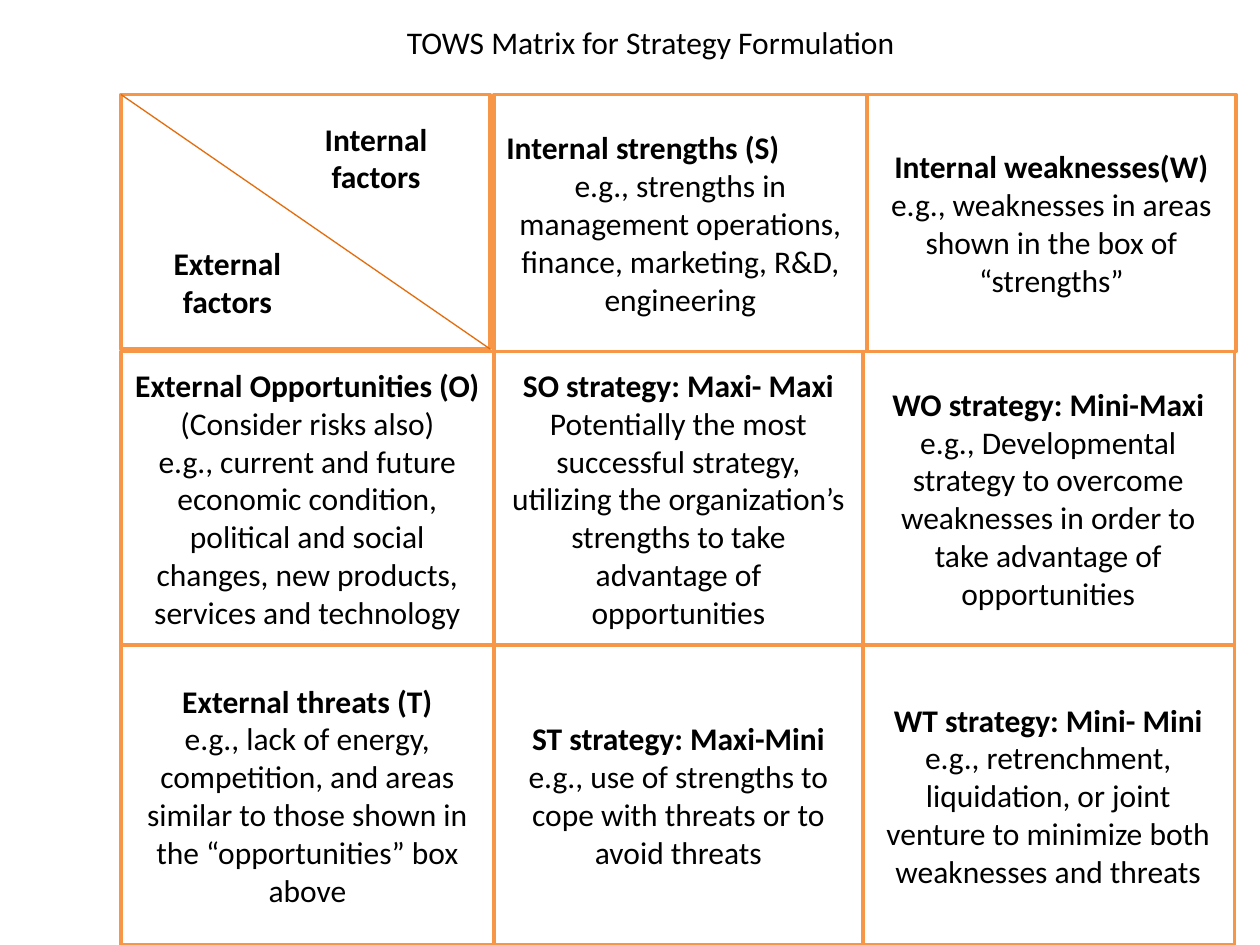
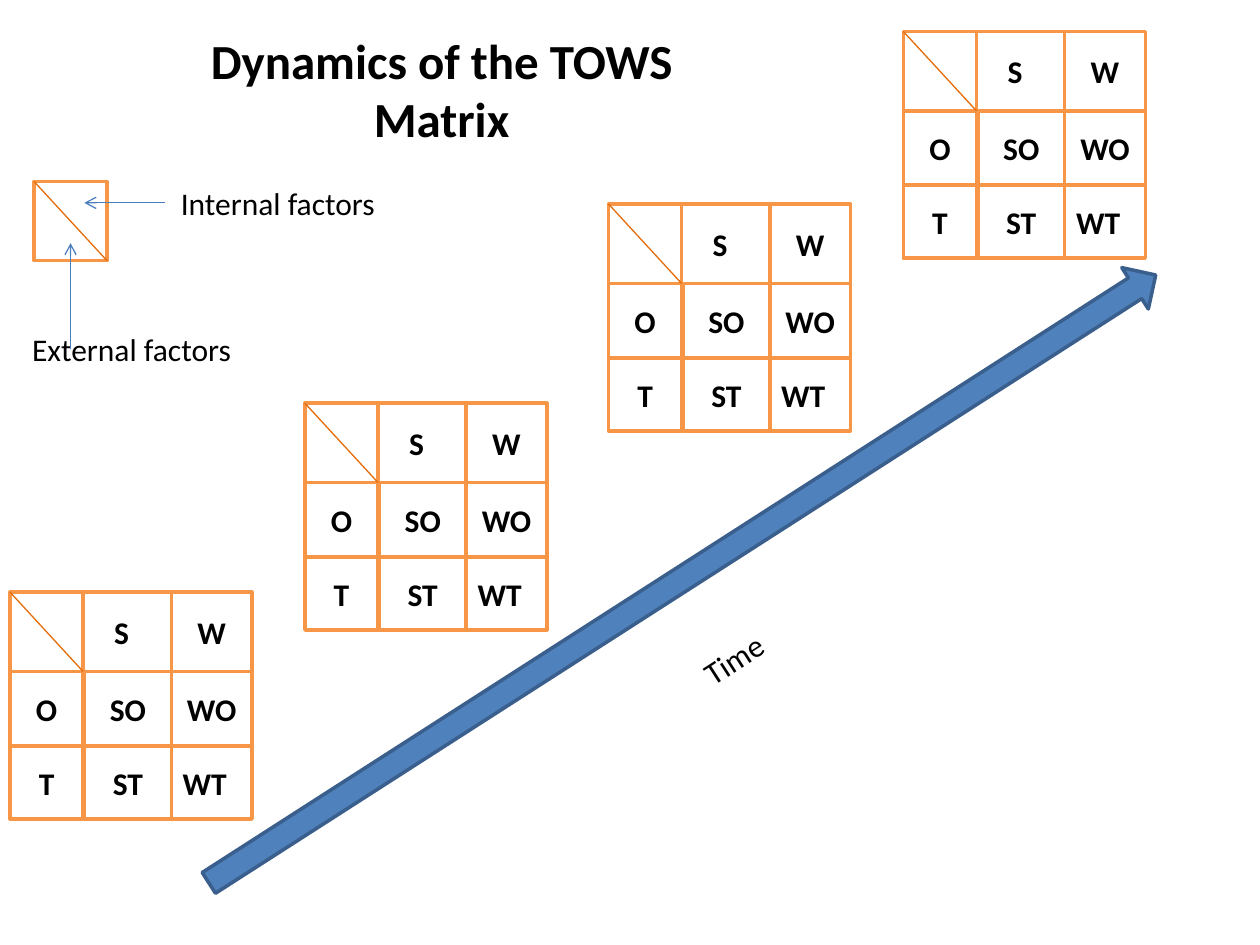
from lxml import etree
from pptx import Presentation
from pptx.dml.color import RGBColor
from pptx.enum.shapes import MSO_CONNECTOR, MSO_SHAPE
from pptx.enum.text import MSO_ANCHOR, MSO_AUTO_SIZE, PP_ALIGN
from pptx.oxml.ns import qn
from pptx.util import Pt

RECT, UP_ARROW = MSO_SHAPE.RECTANGLE, MSO_SHAPE.UP_ARROW
STRAIGHT = MSO_CONNECTOR.STRAIGHT
CENTER, LEFT = PP_ALIGN.CENTER, PP_ALIGN.LEFT
MIDDLE = MSO_ANCHOR.MIDDLE
NO_AUTOFIT = MSO_AUTO_SIZE.NONE

PX = 9144  # 100 px to the inch
TITLE_ONLY = 5
FONT = "Calibri"
WHITE = RGBColor(0xFF, 0xFF, 0xFF)
BLACK = RGBColor(0x00, 0x00, 0x00)
ORANGE = RGBColor(0xF7, 0x96, 0x46)
DARK_ORANGE = RGBColor(0xE4, 0x6C, 0x0A)
BLUE = RGBColor(0x4F, 0x81, 0xBD)
DARK_BLUE = RGBColor(0x3A, 0x5F, 0x8C)
POINTER_BLUE = RGBColor(0x4B, 0x7E, 0xBC)

# A matrix cell: left, width, row, heading, then any body paragraphs
STRATEGY_ROWS = [(0, 204), (204, 233), (437, 238)]  # top, height
STRATEGY_CORNER = (293, 202)
STRATEGY_CELLS = [
    (296, 296, 0, "Internal strengths (S)",
     "e.g., strengths in management operations, finance, marketing, R&D, engineering"),
    (588, 296, 1, "WO strategy: Mini-Maxi",
     "e.g., Developmental strategy to overcome weaknesses in order to take "
     "advantage of opportunities"),
    (588, 296, 2, "WT strategy: Mini- Mini",
     "e.g., retrenchment, liquidation, or joint venture to minimize both "
     "weaknesses and threats"),
    (592, 293, 0, "Internal weaknesses(W)",
     "e.g., weaknesses in areas shown in the box of “strengths”"),
    (296, 293, 1, "SO strategy: Maxi- Maxi",
     "Potentially the most successful strategy, utilizing the organization’s "
     "strengths to take advantage of opportunities"),
    (0, 296, 1, "External Opportunities (O)", "(Consider risks also)",
     "e.g., current and future economic condition, political and social "
     "changes, new products, services and technology"),
    (0, 296, 2, "External threats (T)",
     "e.g., lack of energy, competition, and areas similar to those shown in "
     "the “opportunities” box above"),
    (296, 293, 2, "ST strategy: Maxi-Mini",
     "e.g., use of strengths to cope with threats or to avoid threats"),
]

MINI_ROWS = [(0, 63), (63, 59), (122, 58)]
MINI_CORNER = (58, 63)
MINI_CELLS = [
    (48, 81, 0, "S"), (128, 64, 1, "WO"), (117, 75, 2, "WT"),
    (128, 64, 0, "W"), (59, 69, 1, "SO"), (0, 58, 1, "O"),
    (0, 58, 2, "T"), (59, 69, 2, "ST"),
]
MINI_ORIGINS = [(8, 470), (242, 320), (483, 162), (717, 25)]


def emu(*lengths):
    return [n * PX for n in lengths]


def write(sp, *lines, size=18, bold=False):
    """Centre the lines; bold applies to the first one only."""
    tf = sp.text_frame
    tf.word_wrap = True
    tf.vertical_anchor = MIDDLE
    tf.text = "\n".join(lines)
    for i, p in enumerate(tf.paragraphs):
        p.alignment = CENTER
        for r in p.runs:
            r.font.name, r.font.size = FONT, Pt(size)
            r.font.bold = bold and i == 0
            r.font.color.rgb = BLACK


def add_box(s, box, line=WHITE, fill=WHITE, shape=RECT, rotation=0):
    sp = s.shapes.add_shape(shape, *emu(*box))
    sp.shadow.inherit = False
    sp.rotation = rotation
    sp.fill.solid()
    sp.fill.fore_color.rgb = fill
    sp.line.color.rgb = line
    sp.line.width = Pt(2)
    return sp


def add_line(s, start, end, color, arrow=False):
    line = s.shapes.add_connector(STRAIGHT, *emu(*start, *end))
    line.line.color.rgb = color
    line.line.width = Pt(0.75)
    if arrow:
        etree.SubElement(line.line._get_or_add_ln(), qn("a:tailEnd"), type="arrow")
    etree.SubElement(line._element.spPr, qn("a:effectLst"))
    return line


def add_title(s, box, text, size, bold=False):
    sp = s.shapes.title
    sp.left, sp.top, sp.width, sp.height = emu(*box)
    write(sp, text, size=size, bold=bold)
    sp.text_frame.auto_size = NO_AUTOFIT


def add_label(s, box, text):
    sp = s.shapes.add_textbox(*emu(*box))
    write(sp, text)
    sp.text_frame.word_wrap = False
    return sp


def add_corner(s, left, top, width, height):
    """The split box that separates internal from external factors."""
    add_box(s, (left, top, width, height), ORANGE)
    add_line(s, (left + width, top + height), (left, top), DARK_ORANGE)


def add_matrix(s, left, top, rows, cells, corner):
    boxes = []
    for dx, width, row, *lines in cells:
        dy, height = rows[row]
        sp = add_box(s, (left + dx, top + dy, width, height), ORANGE)
        write(sp, *lines, bold=True)
        boxes.append(sp)
    add_corner(s, left, top, *corner)
    return boxes


def build_strategy_slide(prs):
    s = prs.slides.add_slide(prs.slide_layouts[TITLE_ONLY])
    add_title(s, (250, 8, 533, 50), "TOWS Matrix for Strategy Formulation", 18)
    strengths, *_ = add_matrix(s, 96, 75, STRATEGY_ROWS, STRATEGY_CELLS, STRATEGY_CORNER)
    strengths.text_frame.paragraphs[0].alignment = LEFT

    # Labels in the split corner
    for box, text in [((217, 102, 163, 46), "Internal factors"),
                      ((119, 183, 123, 81), "External factors")]:
        write(add_box(s, box), text, bold=True)


def build_dynamics_slide(prs):
    s = prs.slides.add_slide(prs.slide_layouts[TITLE_ONLY])
    add_title(s, (101, 37, 499, 67), "Dynamics of the TOWS Matrix", 28, bold=True)

    # One matrix for each point in time
    for left, top in MINI_ORIGINS:
        add_matrix(s, left, top, MINI_ROWS, MINI_CELLS, MINI_CORNER)

    # Time arrow
    add_box(s, (522, 13, 39, 893), DARK_BLUE, BLUE, UP_ARROW, 57.3)
    write(add_box(s, (532, 473, 100, 100), rotation=327.2), "Time")

    # Key to the split corner
    add_corner(s, 27, 144, 58, 63)
    internal = add_label(s, (131, 141, 179, 40), "Internal factors")
    add_label(s, (13, 257, 183, 40), "External factors")
    pointer = add_line(s, (131, 161), (67, 161), POINTER_BLUE, arrow=True)
    pointer.begin_connect(internal, 1)
    add_line(s, (56, 277), (56, 193), POINTER_BLUE, arrow=True)


def main():
    prs = Presentation()
    prs.slide_width, prs.slide_height = emu(1000, 750)
    build_strategy_slide(prs)
    build_dynamics_slide(prs)
    prs.save("out.pptx")


if __name__ == "__main__":
    main()
